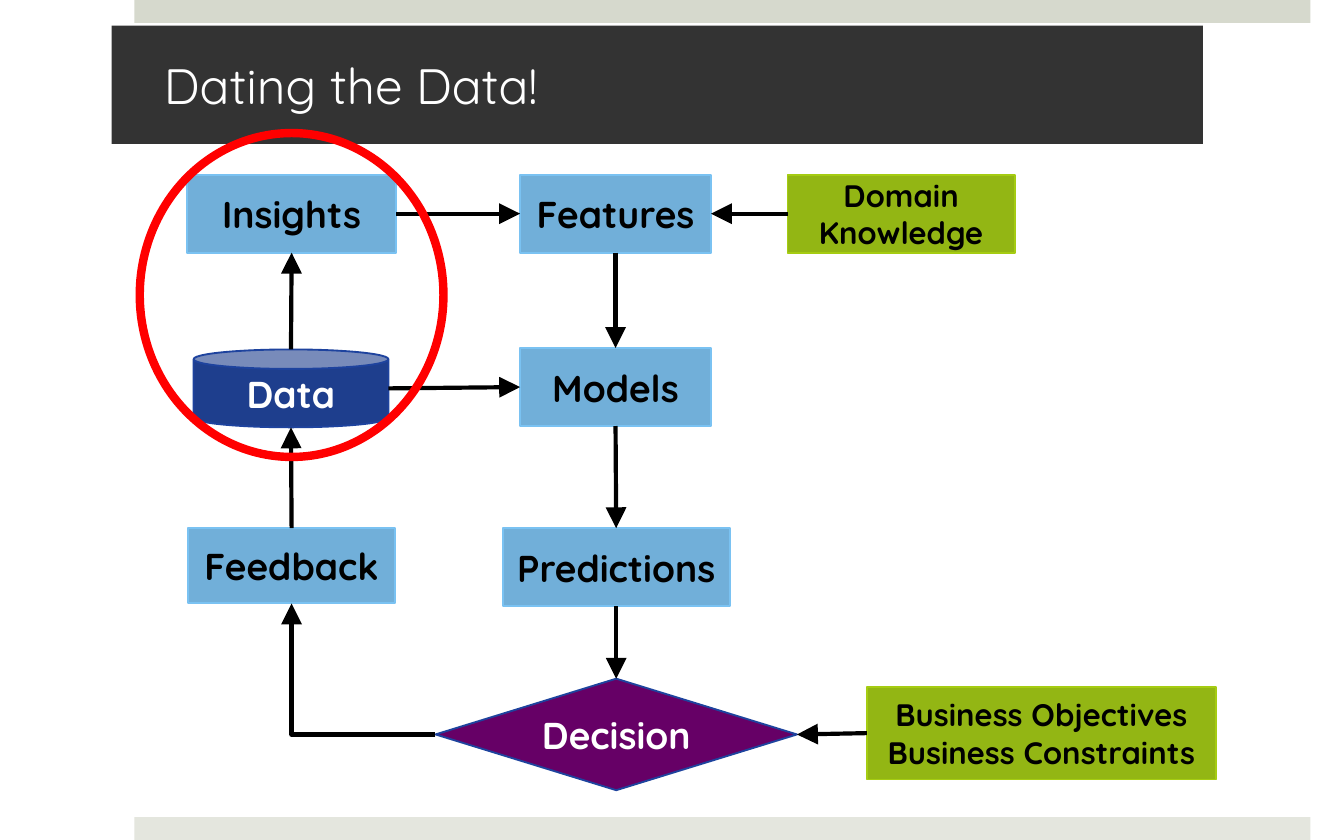
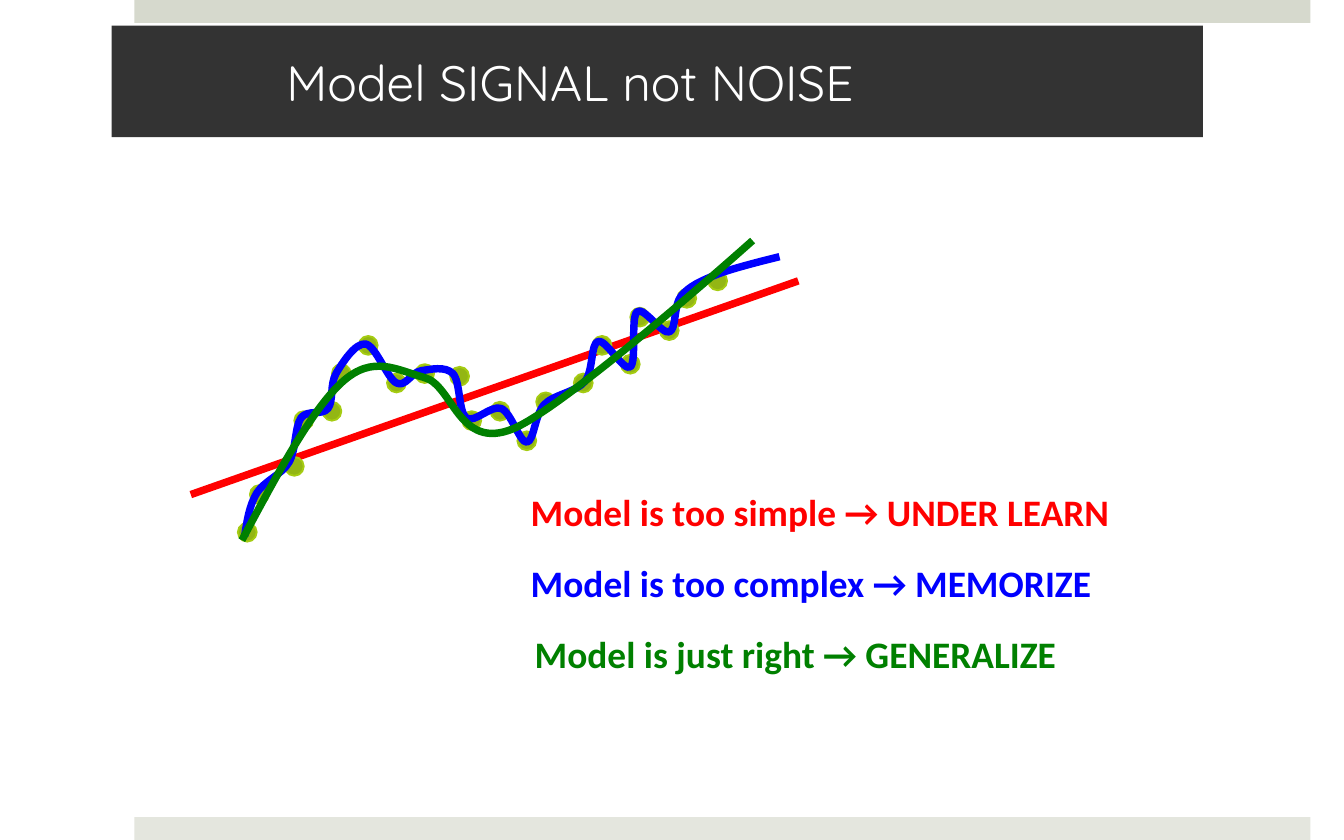
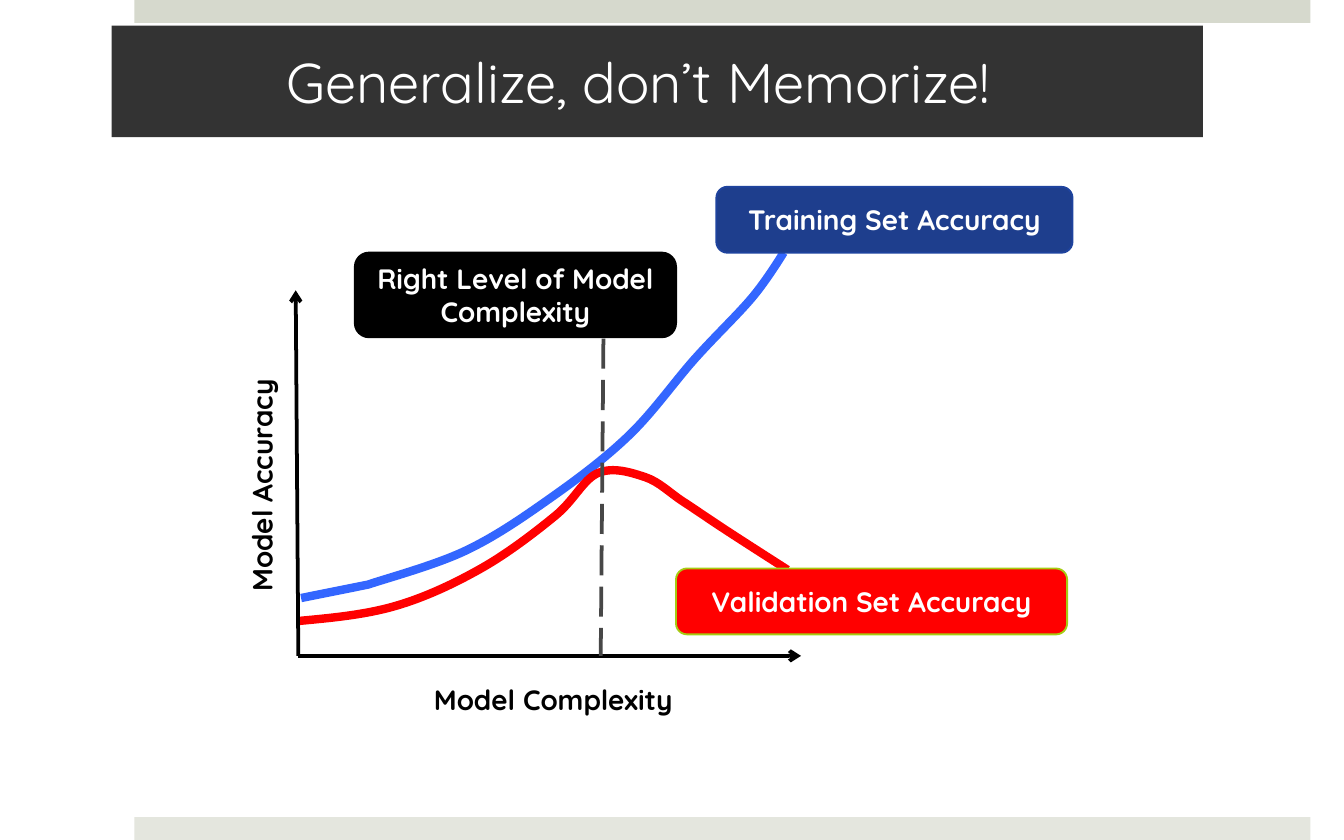
"""Build three slides on modelling: flow, fit and accuracy."""
from lxml.etree import SubElement
from pptx import Presentation
from pptx.dml.color import RGBColor
from pptx.enum.dml import MSO_LINE
from pptx.enum.shapes import MSO_CONNECTOR, MSO_SHAPE
from pptx.enum.text import MSO_ANCHOR, MSO_AUTO_SIZE, PP_ALIGN
from pptx.oxml.ns import qn
from pptx.util import Inches, Pt

BLACK, WHITE, RED = "000000", "FFFFFF", "FF0000"
NAVY, EDGE, LIME, RIM = "1E3E8D", "1E439E", "93B614", "A5CC12"
SKY, PALE, PLUM = "71AFD9", "7AC2F2", "660066"
BLUE, GREEN = "0000FF", "008000"


def paint(item, line=None, width=1, fill=None, tip=None, dash=None):
    if hasattr(item, "fill"):
        if fill:
            item.fill.solid()
            item.fill.fore_color.rgb = RGBColor.from_string(fill)
        else:
            item.fill.background()
    if line:
        item.line.color.rgb = RGBColor.from_string(line)
        item.line.width = Pt(width)
        item.line.dash_style = dash
    else:
        item.line.fill.background()
    props = item._element.spPr
    if tip:
        SubElement(props.find(qn("a:ln")), qn("a:tailEnd"), tip)
    SubElement(props, qn("a:effectLst"))


def write(item, text, size, color, align=PP_ALIGN.CENTER, **font):
    frame = item.text_frame
    frame.text = text
    frame.word_wrap = True
    frame.auto_size = MSO_AUTO_SIZE.NONE
    look = {"name": "Quicksand", "size": Pt(size), "bold": True, **font}
    for para in frame.paragraphs:
        para.alignment = align
        for run in para.runs:
            run.font.color.rgb = RGBColor.from_string(color)
            for key, val in look.items():
                setattr(run.font, key, val)


deck = Presentation()
deck.slide_width, deck.slide_height = Inches(10), Inches(6.25)

slides = []
for text, size, high, inset in [
    ("Dating the Data!", 26.67, 0.88, 0.39),
    ("Model SIGNAL not NOISE", 26.67, 0.83, 1.3),
    ("Generalize, don’t Memorize!", 30, 0.83, 1.3),
]:
    slide = deck.slides.add_slide(deck.slide_layouts[5])
    title = slide.shapes.title
    place = {"left": 0.83, "top": 0.19, "width": 8.12, "height": high}
    for key, val in place.items():
        setattr(title, key, Inches(val))
    write(title, text, size, WHITE, PP_ALIGN.LEFT, bold=False)
    title.text_frame.vertical_anchor = MSO_ANCHOR.MIDDLE
    pads = {"left": inset, "top": 0.05, "right": 0.3, "bottom": 0.05}
    for key, val in pads.items():
        setattr(title.text_frame, "margin_" + key, Inches(val))
    paint(title, fill="333333")
    slides.append(slide.shapes)
flow, fit, score = slides

for num, (top, color) in enumerate([(0, "D6D9CD"), (6.08, "E4E6DE")]):
    band = flow.add_shape(MSO_SHAPE.RECTANGLE, Inches(1), Inches(top), Inches(8.75), Inches(0.17))
    paint(band, fill=color)
    band._element.nvSpPr.cNvPr.id = 20 + num
    deck.slide_master.shapes._spTree.append(band._element)

step = (MSO_SHAPE.RECTANGLE, SKY, PALE, BLACK, 20)
aid = (MSO_SHAPE.RECTANGLE, LIME, RIM, BLACK, 16.67)
store = (MSO_SHAPE.CAN, NAVY, EDGE, WHITE, 20)
choice = (MSO_SHAPE.DIAMOND, PLUM, EDGE, WHITE, 20)
nodes = {}
for text, spot, (kind, fill, line, color, size) in [
    ("Insights", (1.39, 1.3, 1.56, 0.58), step),
    ("Features", (3.87, 1.3, 1.42, 0.58), step),
    ("Models", (3.87, 2.59, 1.42, 0.58), step),
    ("Predictions", (3.74, 3.93, 1.69, 0.58), step),
    ("Feedback", (1.4, 3.93, 1.54, 0.56), step),
    ("Domain\nKnowledge", (5.86, 1.3, 1.69, 0.58), aid),
    ("Business Objectives\nBusiness Constraints", (6.45, 5.11, 2.6, 0.69), aid),
    ("Data", (1.44, 2.6, 1.45, 0.58), store),
    ("Decision", (3.24, 5.05, 2.69, 0.83), choice),
]:
    node = flow.add_shape(kind, *map(Inches, spot))
    paint(node, line, fill=fill)
    write(node, text, size, color)
    nodes[text.split()[0]] = node

sides = [(0.5, 0), (0, 0.5), (0.5, 1), (1, 0.5)]
for tail, out, head, into in [
    ("Data", 0, "Insights", 2),
    ("Insights", 3, "Features", 1),
    ("Domain", 1, "Features", 3),
    ("Features", 2, "Models", 0),
    ("Data", 3, "Models", 1),
    ("Models", 2, "Predictions", 0),
    ("Predictions", 2, "Decision", 0),
    ("Business", 1, "Decision", 3),
    ("Decision", 1, "Feedback", 2),
    ("Feedback", 0, "Data", 2),
]:
    ends = []
    for name, side in [(tail, out), (head, into)]:
        node, (across, down) = nodes[name], sides[side]
        ends += [int(node.left + across * node.width), int(node.top + down * node.height)]
    bent = (tail, head) == ("Decision", "Feedback")
    link = flow.add_connector(MSO_CONNECTOR.ELBOW if bent else MSO_CONNECTOR.STRAIGHT, *ends)
    if bent:
        link._element.spPr.find(qn("a:prstGeom")).set("prst", "bentConnector2")
    if tail != "Data":
        link.begin_connect(nodes[tail], out)
    if head != "Data":
        link.end_connect(nodes[head], into)
    paint(link, BLACK, 2.25, tip={"type": "triangle", "w": "lg", "len": "lg"})

ring = flow.add_shape(MSO_SHAPE.OVAL, Inches(1.04), Inches(0.99), Inches(2.26), Inches(2.41))
paint(ring, RED, 4.5)

trend = fit.add_connector(MSO_CONNECTOR.STRAIGHT, *map(Inches, (1.42, 3.68, 5.94, 2.09)))
paint(trend, RED, 4)
for left, top in [
    (1.86, 3.61), (1.77, 3.89), (2.12, 3.4), (2.19, 3.06), (2.4, 2.99), (2.47, 2.71), (2.67, 2.5),
    (3.09, 2.71), (2.88, 2.78), (3.35, 2.73), (3.44, 3.06), (3.65, 2.99), (3.85, 3.21), (3.99, 2.92),
    (4.27, 2.78), (4.41, 2.5), (4.62, 2.64), (4.69, 2.29), (4.91, 2.39), (5.04, 2.15), (5.27, 2.02),
]:
    dot = fit.add_shape(MSO_SHAPE.OVAL, *map(Inches, (left, top, 0.14, 0.14)))
    paint(dot, RIM, fill=LIME)

noisy = [
    (1.82, 3.99), (1.91, 3.67), (2.15, 3.44), (2.24, 3.11), (2.44, 3.04), (2.5, 2.78), (2.72, 2.56),
    (2.95, 2.85), (3.13, 2.76), (3.37, 2.78), (3.47, 3.11), (3.73, 3.04), (3.92, 3.29), (4.05, 3.01),
    (4.35, 2.84), (4.45, 2.54), (4.69, 2.73), (4.74, 2.32), (4.98, 2.47), (5.07, 2.2), (5.34, 2.04),
    (5.8, 1.91),
]
right = [(1.8, 4.02), (2.55, 2.84), (3.16, 2.81), (3.82, 3.19), (5.6, 1.79)]
train = [
    (2.24, 4.45), (2.74, 4.35), (2.74, 4.35), (3.46, 4.1), (4.09, 3.71), (4.68, 3.24), (5.17, 2.67),
    (5.6, 2.21), (5.83, 1.88),
]
valid = [
    (2.23, 4.62), (2.94, 4.51), (3.58, 4.23), (4.13, 3.84), (4.45, 3.52), (4.8, 3.55), (5.08, 3.73),
    (5.41, 3.95), (5.86, 4.24),
]
for shapes, knots, color, width in [
    (fit, noisy, BLUE, 4),
    (fit, right, GREEN, 4),
    (score, train, "3366FF", 4.5),
    (score, valid, RED, 4.5),
]:
    pen = shapes.build_freeform(*map(Inches, knots[0]))
    pen.add_line_segments([tuple(map(Inches, knot)) for knot in knots[1:]], close=False)
    curve = pen.convert_to_shape()
    props = curve._element.spPr
    dots = [(int(dot.get("x")), int(dot.get("y"))) for dot in props.iter(qn("a:pt"))]
    lead = tuple(2.5 * a - 2 * b + 0.5 * c for a, b, c in zip(*dots[:3]))
    full = [lead, *dots, dots[-2]]
    parts = list(props.iter(qn("a:lnTo")))
    for part, a, b, c, d in zip(parts, full, full[1:], full[2:], full[3:]):
        if b == c:
            continue
        part.tag = qn("a:cubicBezTo")
        end = part[0]
        for base, start, stop in [(b, a, c), (c, d, b)]:
            x, y = [str(round(m + (q - p) / 6)) for m, p, q in zip(base, start, stop)]
            SubElement(part, qn("a:pt"), x=x, y=y)
        part.append(end)
    paint(curve, color, width)

bold = {"name": "Calibri"}
for shapes, text, spot, size, color, turn, font in [
    (fit, "Model is too simple → UNDER LEARN", (3.85, 3.59, 5.3, 0.44), 20, RED, 0, bold),
    (fit, "Model is too complex → MEMORIZE", (3.85, 4.12, 5.01, 0.44), 20, BLUE, 0, bold),
    (fit, "Model is just right → GENERALIZE", (3.88, 4.65, 4.84, 0.44), 20, GREEN, 0, bold),
    (score, "Model Complexity", (3.13, 5.03, 2.09, 0.35), 15, BLACK, 0, {}),
    (score, "Model Accuracy", (0.98, 3.36, 1.93, 0.35), 15, BLACK, 270, {}),
]:
    note = shapes.add_textbox(*map(Inches, spot))
    note.rotation = turn
    write(note, text, size, color, PP_ALIGN.LEFT, **font)

arrow = {"type": "arrow"}
for ends, color, tip, dash in [
    ((2.22, 4.88, 2.2, 2.16), BLACK, arrow, None),
    ((2.22, 4.88, 5.96, 4.88), BLACK, arrow, None),
    ((4.49, 2.52, 4.47, 4.88), "474747", None, MSO_LINE.LONG_DASH),
]:
    rule = score.add_connector(MSO_CONNECTOR.STRAIGHT, *map(Inches, ends))
    paint(rule, color, 2, tip=tip, dash=dash)

for text, spot, fill, line in [
    ("Training Set Accuracy", (5.33, 1.39, 2.65, 0.49), NAVY, EDGE),
    ("Validation Set Accuracy", (5.03, 4.23, 2.91, 0.49), RED, RIM),
    ("Right Level of Model Complexity", (2.64, 1.88, 2.39, 0.63), BLACK, BLACK),
]:
    label = score.add_shape(MSO_SHAPE.ROUNDED_RECTANGLE, *map(Inches, spot))
    paint(label, line, fill=fill)
    write(label, text, 15, WHITE)

deck.save("out.pptx")
